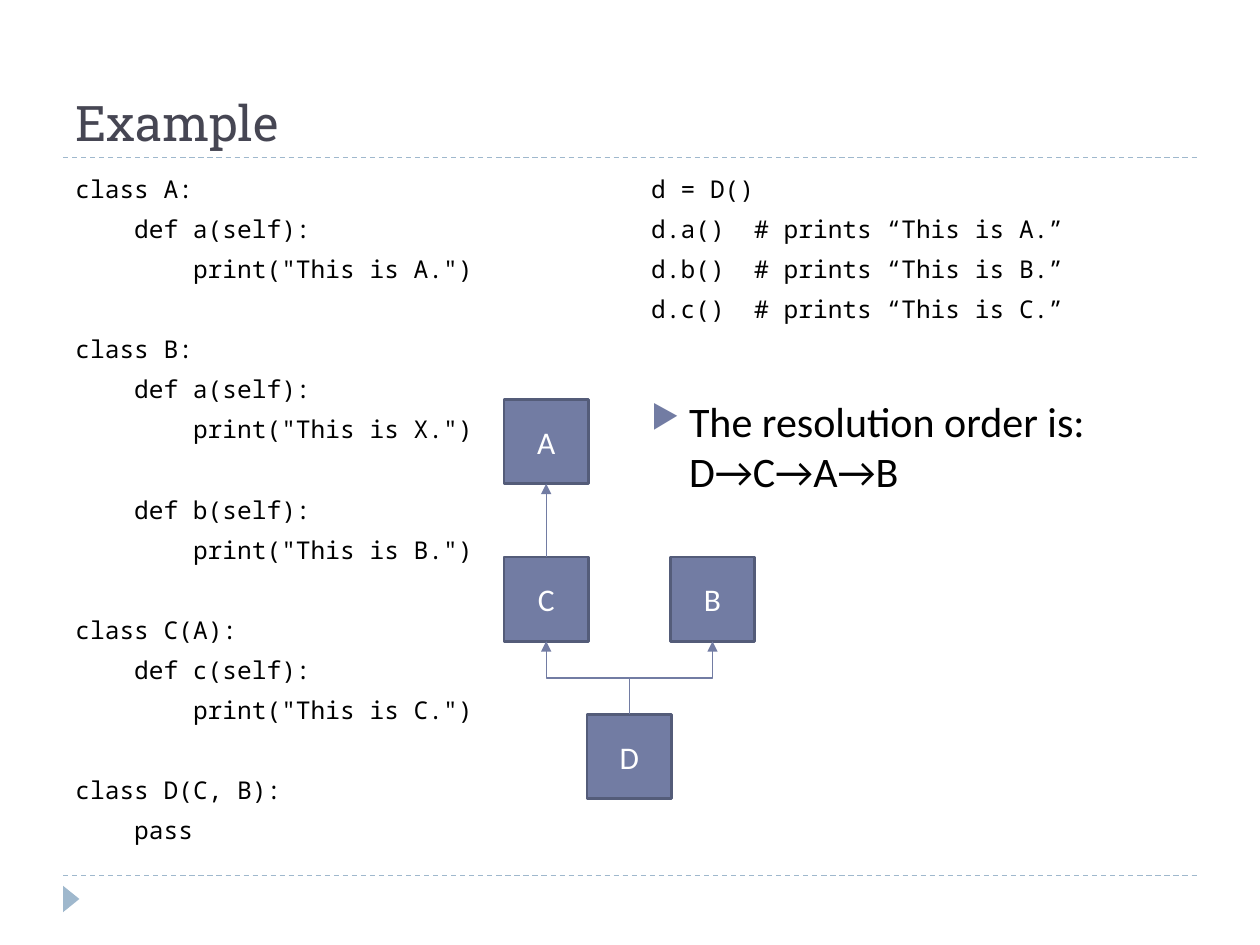
"""Build the slide on method resolution order with code and a class diagram."""
from lxml.etree import SubElement
from pptx import Presentation
from pptx.dml.color import RGBColor
from pptx.enum.dml import MSO_LINE
from pptx.enum.shapes import MSO_CONNECTOR, MSO_SHAPE
from pptx.enum.text import MSO_ANCHOR, PP_ALIGN
from pptx.oxml.ns import qn
from pptx.util import Inches, Pt


def color(value):
    return RGBColor.from_string(value)


def add_line(kind, start, end, value):
    connector = slide.shapes.add_connector(kind, *map(Inches, start + end))
    connector.line.color.rgb = color(value)
    connector.line.width = Pt(0.75)
    SubElement(connector._element.spPr, qn("a:effectLst"))
    return connector


presentation = Presentation()
presentation.slide_width, presentation.slide_height = Inches(10), Inches(7.5)
slide = presentation.slides.add_slide(presentation.slide_layouts[6])

for rule_y in (6.95, 1.25):
    rule = add_line(MSO_CONNECTOR.STRAIGHT, (0.5, rule_y), (9.5, rule_y), "9FB8CD")
    rule.line.dash_style = MSO_LINE.DASH

marker = slide.shapes.add_shape(
    MSO_SHAPE.ISOSCELES_TRIANGLE, *map(Inches, (0.46, 7.07, 0.21, 0.13)))
marker.rotation = 90
marker.shadow.inherit = False
marker.fill.solid()
marker.fill.fore_color.rgb = color("9FB8CD")
marker.line.fill.background()

title = slide.shapes.add_textbox(*map(Inches, (0.5, 0.25, 9, 1))).text_frame
title.word_wrap = True
title.vertical_anchor = MSO_ANCHOR.BOTTOM
title.text = "Example"
title_font = title.paragraphs[0].runs[0].font
title_font.name, title_font.size = "Roboto Slab", Pt(28)
title_font.color.rgb = color("464653")

classes = [
    (0, "class A:"), (1, "def a(self):"), (2, 'print("This is A.")'),
    (0, "class B:"), (1, "def a(self):"), (2, 'print("This is X.")'),
    (1, "def b(self):"), (2, 'print("This is B.")'),
    (0, "class C(A):"), (1, "def c(self):"), (2, 'print("This is C.")'),
    (0, "class D(C, B):"), (1, "pass"),
]
calls = [(0, "d = D()")] + [
    (0, f"d.{name}()  # prints “This is {name.upper()}.”") for name in "abc"]
code_line, code_gap, code_indent = 16.9, 6, 33.6

for left, listing in ((0.5, classes), (5.07, calls)):
    body = slide.shapes.add_textbox(*map(Inches, (left, 1.33, 4.42, 5.4))).text_frame
    body.word_wrap = True
    previous_level = 0
    for index, (level, text) in enumerate(listing):
        paragraph = body.add_paragraph() if index else body.paragraphs[0]
        paragraph.text = text
        starts_block = level < previous_level
        paragraph.space_before = Pt(code_gap + starts_block * (code_line + code_gap))
        paragraph.line_spacing = Pt(code_line)
        paragraph._p.get_or_add_pPr().set("marL", str(Pt(level * code_indent)))
        font = paragraph.runs[0].font
        font.name, font.size = "Noto Sans Mono", Pt(14)
        font.color.rgb = color("000000")
        previous_level = level

order = body.add_paragraph()
order.text = "The resolution order is: D→C→A→B"
order.space_before = Pt(41)
order_font = order.runs[0].font
order_font.name, order_font.size = "Calibri", Pt(24)
order_font.color.rgb = color("000000")
properties = order._p.get_or_add_pPr()
properties.set("marL", str(Inches(0.3)))
properties.set("indent", str(Inches(-0.3)))
bullet_color = SubElement(properties, qn("a:buClr"))
SubElement(bullet_color, qn("a:srgbClr"), val="727CA3")
SubElement(properties, qn("a:buSzPct"), val="76000")
SubElement(properties, qn("a:buChar"), char="▶")

box_size, column_step, row_step = 0.67, 0.66, 1.25
boxes = {"B": (2, 1), "C": (0, 1), "D": (1, 2), "A": (0, 0)}
tops, bottoms = {}, {}
for name, (column, row) in boxes.items():
    left, top = 4 + column * column_step, 3.17 + row * row_step
    tops[name] = (left + box_size / 2, top)
    bottoms[name] = (left + box_size / 2, top + box_size)
    box = slide.shapes.add_shape(
        MSO_SHAPE.RECTANGLE, *map(Inches, (left, top, box_size, box_size)))
    box.shadow.inherit = False
    box.fill.solid()
    box.fill.fore_color.rgb = color("727CA3")
    box.line.color.rgb = color("545C79")
    box.line.width = Pt(1.5)
    box.text_frame.text = name
    box.text_frame.vertical_anchor = MSO_ANCHOR.MIDDLE
    label = box.text_frame.paragraphs[0]
    label.alignment = PP_ALIGN.CENTER
    label_font = label.runs[0].font
    label_font.name, label_font.size = "Calibri", Pt(18)
    label_font.color.rgb = color("FFFFFF")

arrows = [add_line(MSO_CONNECTOR.STRAIGHT, tops["C"], bottoms["A"], "727CA3")]
for parent, side, angle in (("C", -1, 270), ("B", 1, 90)):
    (start_x, start_y), (end_x, end_y) = tops["D"], bottoms[parent]
    center_x, center_y = (start_x + end_x) / 2, (start_y + end_y) / 2
    reach_x, reach_y = side * (start_y - end_y) / 2, abs(end_x - start_x) / 2
    elbow = add_line(
        MSO_CONNECTOR.ELBOW, (center_x + reach_x, center_y + reach_y),
        (center_x - reach_x, center_y - reach_y), "727CA3")
    elbow._element.spPr.find(qn("a:xfrm")).set("rot", str(angle * 60000))
    arrows.append(elbow)
for arrow in arrows:
    SubElement(arrow.line._get_or_add_ln(), qn("a:tailEnd"), type="triangle")

presentation.save("out.pptx")
